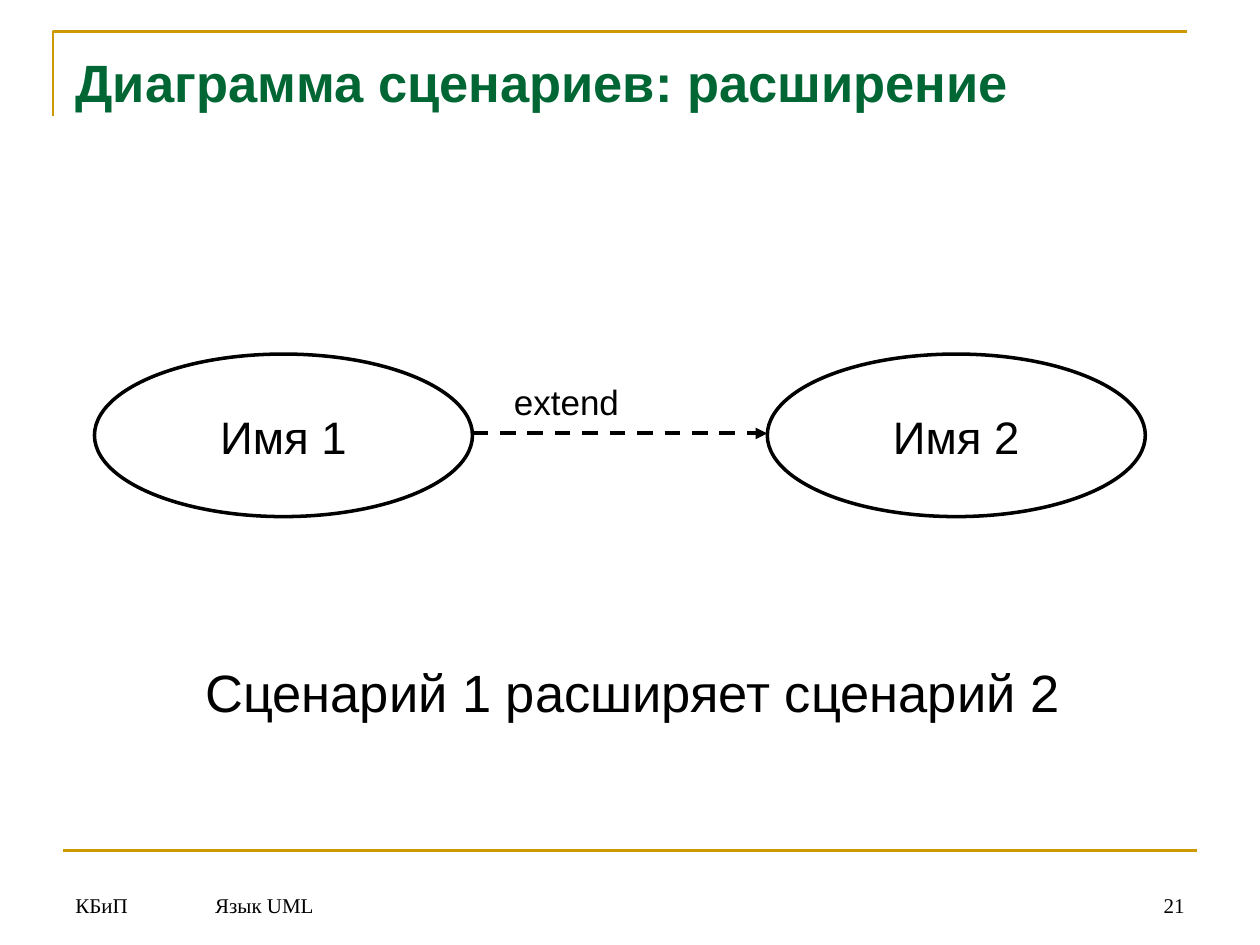
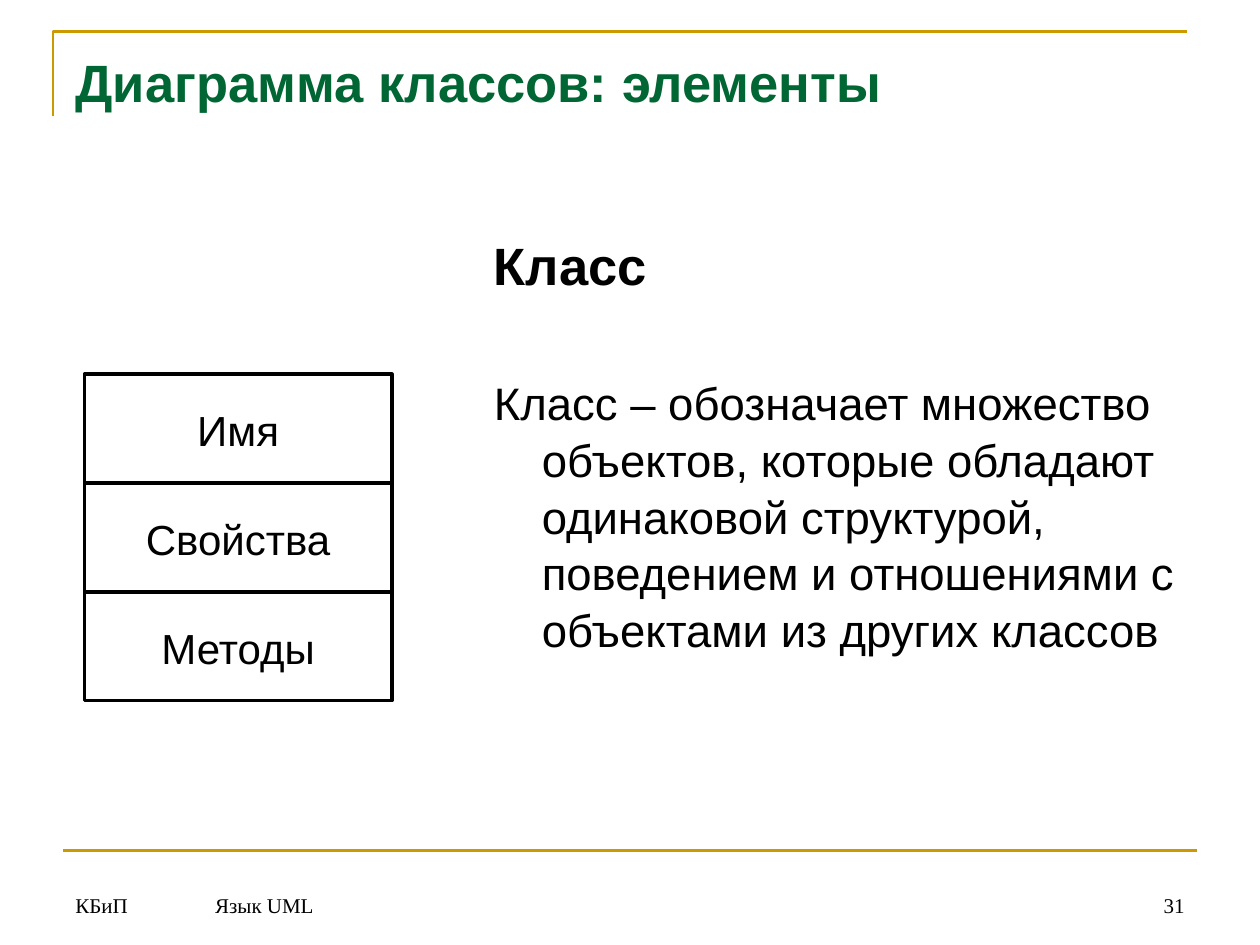
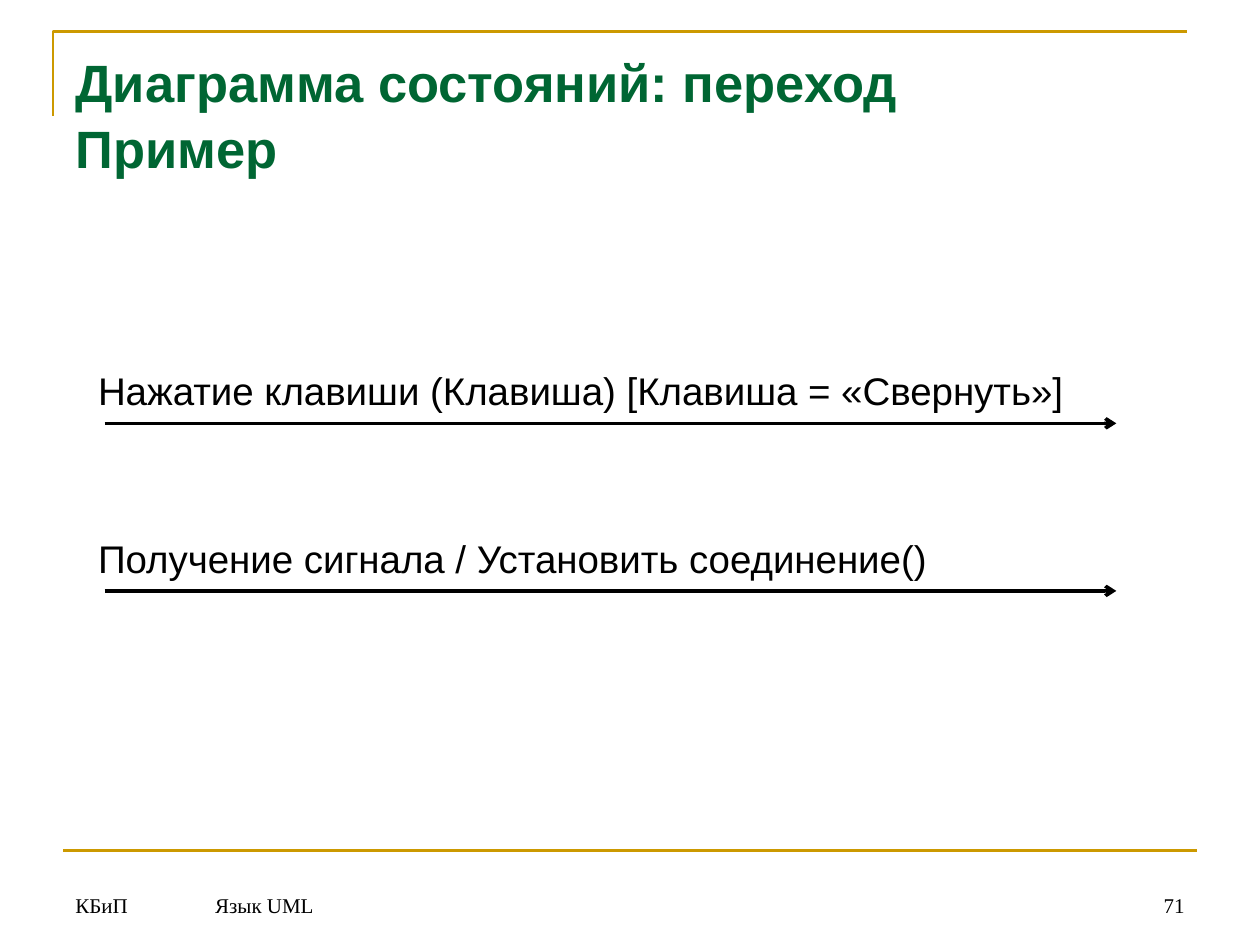
from lxml import etree
from pptx import Presentation
from pptx.dml.color import RGBColor
from pptx.enum.dml import MSO_LINE
from pptx.enum.shapes import MSO_CONNECTOR, MSO_SHAPE
from pptx.enum.text import MSO_ANCHOR, MSO_AUTO_SIZE, PP_ALIGN
from pptx.oxml.ns import qn
from pptx.util import Inches, Pt

LEFT, CENTER, RIGHT = PP_ALIGN.LEFT, PP_ALIGN.CENTER, PP_ALIGN.RIGHT
TOP, MIDDLE, BOTTOM = MSO_ANCHOR.TOP, MSO_ANCHOR.MIDDLE, MSO_ANCHOR.BOTTOM
OVAL, RECTANGLE = MSO_SHAPE.OVAL, MSO_SHAPE.RECTANGLE
STRAIGHT, DASH, NO_FIT = MSO_CONNECTOR.STRAIGHT, MSO_LINE.DASH, MSO_AUTO_SIZE.NONE

# Shared look
WIDTH, HEIGHT = 10, 7.5
MARGIN = 0.5
GOLD, GREEN, BLACK = "CC9900", "006633", "000000"
SANS, SERIF = "Arial", "Times New Roman"
LINE_SPACING = 1.04
TITLE_AND_BODY, TITLE_ONLY = 1, 5

# Content
DEPARTMENT, COURSE = "КБиП", "Язык UML"

EXTENSION = {
    "title": "Диаграмма сценариев: расширение",
    "number": "21",
    "scenarios": ["Имя 1", "Имя 2"],
    "relation": "extend",
    "meaning": "Сценарий 1 расширяет сценарий 2",
}
CLASS = {
    "title": "Диаграмма классов: элементы",
    "number": "31",
    "sections": ["Имя", "Свойства", "Методы"],
    # text, size, bold, space before
    "definition": [
        ("Класс", 30, True, 0),
        ("Класс – обозначает множество объектов, которые обладают одинаковой "
         "структурой, поведением и отношениями с объектами из других классов",
         26, False, 44),
    ],
}
TRANSITION = {
    "title": "Диаграмма состояний: переход\nПример",
    "number": "71",
    # label, label width
    "transitions": [
        ("Нажатие клавиши (Клавиша) [Клавиша = «Свернуть»]", 7.87),
        ("Получение сигнала / Установить соединение()", 6.81),
    ],
}


def color(value):
    return RGBColor.from_string(value)


def set_frame(frame, anchor=TOP, wrap=True, top_inset=0.05):
    frame.auto_size = NO_FIT
    frame.word_wrap = wrap
    frame.vertical_anchor = anchor
    frame.margin_left = frame.margin_right = Inches(0.1)
    frame.margin_top, frame.margin_bottom = Inches(top_inset), Inches(0.05)


def write(paragraph, text, size, font=SANS, ink=BLACK, bold=False, align=LEFT):
    paragraph.alignment = align
    paragraph.line_spacing = LINE_SPACING
    for index, row in enumerate(text.split("\n")):
        if index:
            paragraph.add_line_break()
        run = paragraph.add_run()
        run.text = row
        run.font.size, run.font.name, run.font.bold = Pt(size), font, bold
        run.font.color.rgb = color(ink)


def place(shape, left, top, width, height):
    shape.left, shape.top = Inches(left), Inches(top)
    shape.width, shape.height = Inches(width), Inches(height)


def label(slide, box, text, size, font=SANS, align=LEFT, anchor=TOP, wrap=False):
    frame = slide.shapes.add_textbox(*map(Inches, box)).text_frame
    set_frame(frame, anchor, wrap)
    write(frame.paragraphs[0], text, size, font, align=align)


def outlined(slide, preset, box, text, size, wrap=True):
    shape = slide.shapes.add_shape(preset, *map(Inches, box))
    shape.shadow.inherit = False
    shape.fill.background()
    shape.line.color.rgb, shape.line.width = color(BLACK), Pt(2)
    set_frame(shape.text_frame, MIDDLE, wrap)
    write(shape.text_frame.paragraphs[0], text, size, align=CENTER)


def rule(slide, start, end, y, ink=BLACK, weight=2, head=None, dash=None):
    line = slide.shapes.add_connector(
        STRAIGHT, Inches(start), Inches(y), Inches(end), Inches(y))
    line.line.color.rgb, line.line.width = color(ink), Pt(weight)
    if dash:
        line.line.dash_style = dash
    if head:
        stroke = line.line._get_or_add_ln()
        etree.SubElement(stroke, qn("a:tailEnd"), type=head)
    etree.SubElement(line._element.spPr, qn("a:effectLst"))


def new_slide(deck, content, layout):
    slide = deck.slides.add_slide(deck.slide_layouts[layout])
    span = WIDTH - 2 * MARGIN

    # Corner line and footer rule
    left, top = 0.42, 0.25
    corner = slide.shapes.build_freeform(Inches(left), Inches(top + 0.67))
    corner.add_line_segments(
        [(Inches(left), Inches(top)), (Inches(left + span), Inches(top))], close=False)
    outline = corner.convert_to_shape()
    outline.shadow.inherit = False
    outline.fill.background()
    outline.line.color.rgb, outline.line.width = color(GOLD), Pt(1.5)
    rule(slide, MARGIN, MARGIN + span, 0.9 * HEIGHT, GOLD, 1.5)

    # Footer
    footer = [(MARGIN, 0.96, DEPARTMENT, LEFT), (1.61, 7.24, COURSE, LEFT),
              (8.94, 0.56, content["number"], RIGHT)]
    for left, width, text, align in footer:
        label(slide, (left, 6.83, width, 0.5), text, 12, SERIF, align, BOTTOM, True)

    # Title
    title = slide.shapes.title
    place(title, MARGIN, 0.3, span, 1.25)
    set_frame(title.text_frame, top_inset=0.08)
    write(title.text_frame.paragraphs[0], content["title"], 30, ink=GREEN, bold=True)
    return slide


def extension_slide(deck):
    slide = new_slide(deck, EXTENSION, TITLE_ONLY)
    first, pitch, width = 0.75, 5.34, 3
    for column, name in enumerate(EXTENSION["scenarios"]):
        outlined(slide, OVAL, (first + column * pitch, 2.81, width, 1.29), name, 26)
    rule(slide, first + width, first + pitch, 3.44, weight=2.25,
         head="triangle", dash=DASH)
    label(slide, (3.98, 2.96, 1.03, 0.44), EXTENSION["relation"], 20)
    label(slide, (1.53, 5.17, 7.01, 0.6), EXTENSION["meaning"], 30)


def class_slide(deck):
    slide = new_slide(deck, CLASS, TITLE_AND_BODY)

    # Definition with hanging indent
    body = slide.placeholders[1]
    place(body, 3.82, 1.75, 5.68, 4.95)
    frame = body.text_frame
    set_frame(frame, top_inset=0.08)
    for index, (text, size, bold, before) in enumerate(CLASS["definition"]):
        paragraph = frame.add_paragraph() if index else frame.paragraphs[0]
        properties = paragraph._p.get_or_add_pPr()
        properties.set("marL", str(Inches(0.38)))
        properties.set("indent", str(-Inches(0.38)))
        etree.SubElement(properties, qn("a:buNone"))
        paragraph.space_before = Pt(before)
        write(paragraph, text, size, bold=bold)

    # Class box
    sections = CLASS["sections"]
    row_height = 2.59 / len(sections)
    for row, name in enumerate(sections):
        outlined(slide, RECTANGLE, (0.67, 2.97 + row * row_height, 2.44, row_height),
                 name, 24, wrap=False)


def transition_slide(deck):
    slide = new_slide(deck, TRANSITION, TITLE_ONLY)
    for row, (text, width) in enumerate(TRANSITION["transitions"]):
        y = 3.36 + row * 1.33
        rule(slide, 0.83, 8.86, y, head="arrow")
        label(slide, (0.68, y - 0.51, width, 0.47), text, 22)


def main():
    deck = Presentation()
    deck.slide_width, deck.slide_height = Inches(WIDTH), Inches(HEIGHT)
    extension_slide(deck)
    class_slide(deck)
    transition_slide(deck)
    deck.save("out.pptx")


if __name__ == "__main__":
    main()
